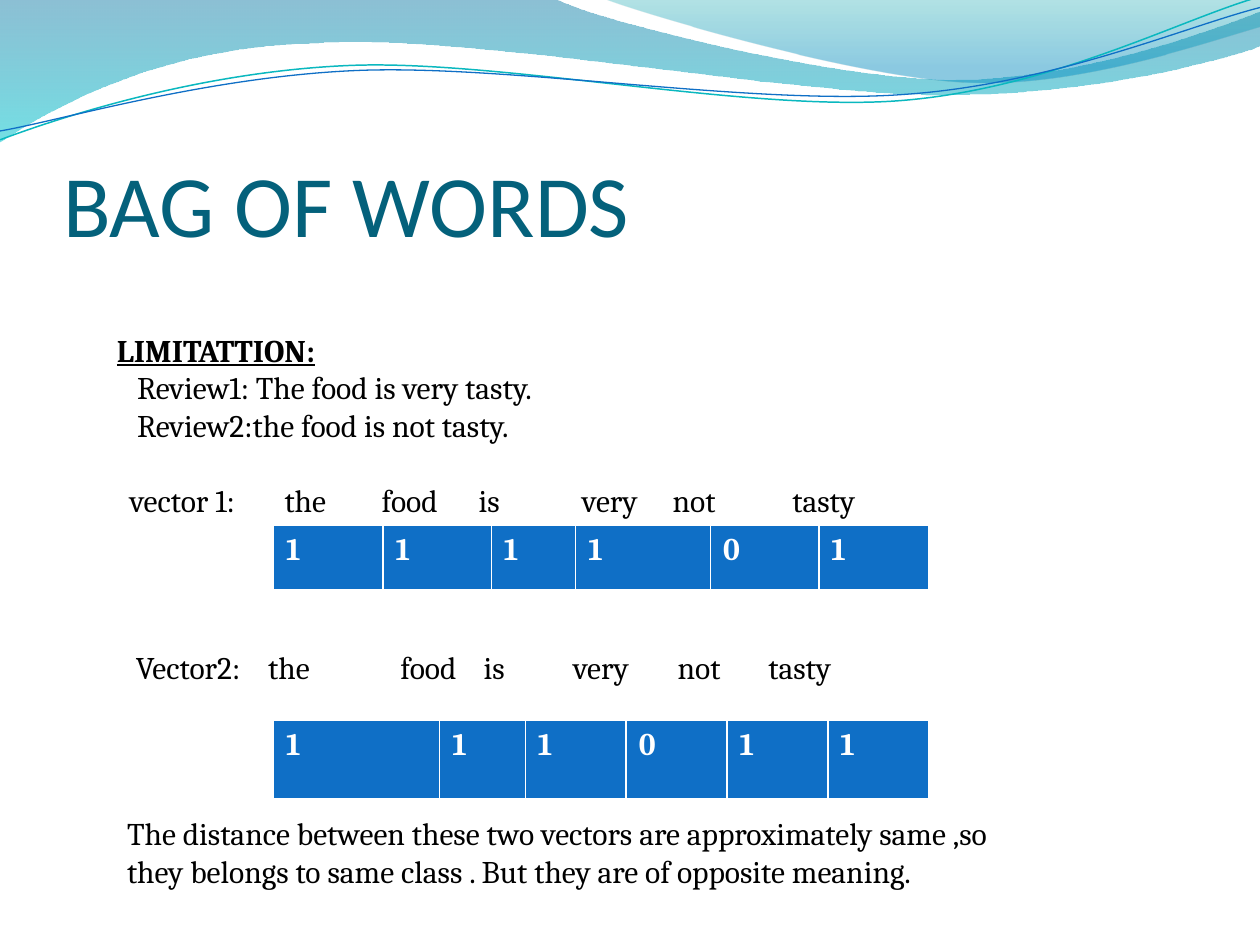
from math import cos, radians, sin

from lxml.etree import SubElement
from pptx import Presentation
from pptx.dml.color import RGBColor
from pptx.enum.text import MSO_ANCHOR as Anchor
from pptx.oxml.ns import qn
from pptx.util import Inches, Pt

BLUE, WHITE, BLACK = "0F6FC6", "FFFFFF", "000000"
TILT = 2.7

LEFT_WAVE = [(0, 0), (4.4, -0.01),
             (4.76, 0.17, 6.64, 0.63, 7.58, 0.63), (8.53, 0.63, 9.58, 0.26, 10, 0.09),
             (10.01, 0.36), (9.83, 0.44, 8.7, 0.76, 7.46, 0.75),
             (6.22, 0.75, 3.82, 0.28, 2.57, 0.34), (1.29, 0.36, 0.46, 0.83, -0.01, 1.13)]
RIGHT_WAVE = [(4.79, -0.01), (5.09, 0.11, 6.82, 0.62, 7.69, 0.65),
              (8.56, 0.69, 9.61, 0.32, 10, 0.21), (10, 0)]
TEAL_LINE = [(0, 1.11), (0.48, 0.93, 1.58, 0.57, 2.77, 0.52),
             (3.95, 0.47, 5.93, 0.89, 7.13, 0.8), (8.33, 0.71, 9.38, 0.15, 9.98, -0.02)]
BLUE_LINE = [(0, 1.04), (0.47, 0.96, 1.64, 0.61, 2.83, 0.56),
             (4.03, 0.51, 5.97, 0.84, 7.17, 0.75), (8.36, 0.67, 9.41, 0.21, 10, 0.06)]


def rgb(value):
    return RGBColor.from_string(value)


def pairs(segment):
    return list(zip(segment[::2], segment[1::2]))


def add_outline(page, segments, closed):
    corners = [tuple(Inches(value) for value in segment[-2:]) for segment in segments]
    builder = page.shapes.build_freeform(*corners[0])
    builder.add_line_segments(corners[1:], close=closed)
    shape = builder.convert_to_shape()
    shape.shadow.inherit = False
    edges = list(shape.element.spPr.iter(qn("a:lnTo")))
    for edge, segment in zip(edges, segments[1:]):
        if len(segment) == 6:
            edge.tag = qn("a:cubicBezTo")
            for point in list(edge):
                edge.remove(point)
            for x, y in pairs(segment):
                SubElement(edge, qn("a:pt"), x=str(Inches(x) - shape.left),
                           y=str(Inches(y) - shape.top))
    return shape


def add_wave(page, segments, stops):
    shape = add_outline(page, segments, True)
    shape.line.fill.background()
    shape.fill.gradient()
    shape.fill.gradient_angle = 270
    for stop, (position, color, _) in zip(shape.fill.gradient_stops, stops):
        stop.color.rgb = rgb(color)
        stop.position = position
    for element, (_, _, opacity) in zip(shape.element.spPr.iter(qn("a:srgbClr")), stops):
        SubElement(element, qn("a:alpha"), val=str(opacity * 1000))


def turn(segment, center, angle):
    turned = []
    for x, y in pairs(segment):
        dx, dy = x - center[0], y - center[1]
        turned += [center[0] + dx * cos(angle) - dy * sin(angle),
                   center[1] + dx * sin(angle) + dy * cos(angle)]
    return turned


def add_curve(page, segments, center, color, width):
    level = [turn(segment, center, radians(TILT)) for segment in segments]
    shape = add_outline(page, level, False)
    shape.rotation = -TILT
    shape.fill.background()
    shape.line.color.rgb = rgb(color)
    shape.line.width = Pt(width)


def add_span(para, text, size=18, font="Cambria", color=BLACK, bold=False, underline=False):
    span = para.add_run()
    span.text = text
    span.font.size = Pt(size)
    span.font.name = font
    span.font.color.rgb = rgb(color)
    span.font.bold = bold
    span.font.underline = underline


def add_box(page, left, top, width, height):
    box = page.shapes.add_textbox(Inches(left), Inches(top), Inches(width), Inches(height))
    box.text_frame.word_wrap = True
    return box.text_frame


def add_title(page, text):
    frame = add_box(page, 0.5, 0.77, 9.08, 1.25)
    frame.margin_left = frame.margin_right = frame.margin_bottom = 0
    frame.vertical_anchor = Anchor.BOTTOM
    add_span(frame.paragraphs[0], text, 50, "Calibri", "04617B")


def add_reviews(page, heading, reviews):
    frame = add_box(page, 0.83, 2.25, 9.08, 1.92)
    frame.vertical_anchor = Anchor.BOTTOM
    add_span(frame.paragraphs[0], heading, bold=True, underline=True)
    for review in reviews:
        para = frame.add_paragraph()
        para._p.get_or_add_pPr().set("marL", str(Inches(0.16)))
        add_span(para, review)
    return frame


def add_word_row(para, label, stops):
    tabs = SubElement(para._p.get_or_add_pPr(), qn("a:tabLst"))
    for stop in stops:
        SubElement(tabs, qn("a:tab"), pos=str(Inches(stop)), algn="l")
    add_span(para, "\t".join([label, "the", "food", "is", "very", "not", "tasty"]))


def add_border(cell, side, width):
    line = SubElement(cell._tc.get_or_add_tcPr(), qn("a:" + side), w=str(Pt(width)))
    SubElement(SubElement(line, qn("a:solidFill")), qn("a:srgbClr"), val=WHITE)


def add_vector(page, top, height, widths, values):
    table = page.shapes.add_table(1, len(values), Inches(2.17), Inches(top),
                                  Inches(sum(widths)), Inches(height)).table
    table.first_row = table.horz_banding = False
    table.rows[0].height = Inches(height)
    for column, cell, width, value in zip(table.columns, table.rows[0].cells, widths, values):
        column.width = Inches(width)
        for side, weight in (("lnL", 1), ("lnR", 1), ("lnT", 1), ("lnB", 3)):
            add_border(cell, side, weight)
        cell.fill.solid()
        cell.fill.fore_color.rgb = rgb(BLUE)
        add_span(cell.text_frame.paragraphs[0], value, color=WHITE, bold=True)


def main():
    deck = Presentation()
    deck.slide_width, deck.slide_height = Inches(10), Inches(7.5)
    page = deck.slides.add_slide(deck.slide_layouts[6])
    add_wave(page, LEFT_WAVE, [(0, "0074A1", 45), (1, "00C6CF", 55)])
    add_wave(page, RIGHT_WAVE, [(0, "00A1A9", 30), (0.8, "008BBF", 45)])
    add_curve(page, TEAL_LINE, (4.99, 0.58), "0AB8BF", 0.85)
    add_curve(page, BLUE_LINE, (5, 0.59), BLUE, 0.75)
    add_title(page, "BAG OF WORDS")
    reviews = add_reviews(page, "LIMITATTION:", ["Review1: The food is very tasty.",
                                                 "Review2:the food is not tasty."])
    first_row = reviews.add_paragraph()
    first_row.space_before = Pt(21.4)
    add_word_row(first_row, "\tvector 1:", [0.1, 1.33, 2.1, 2.87, 3.69, 4.41, 5.36])
    add_vector(page, 4.17, 0.52, [0.87, 0.86, 0.67, 1.07, 0.86, 0.87], "111101")
    add_vector(page, 5.72, 0.63, [1.32, 0.68, 0.8, 0.8, 0.8, 0.8], "111011")
    second_row = add_box(page, 0.98, 5.09, 6.54, 0.4)
    add_word_row(second_row.paragraphs[0], "Vector2:", [1.05, 2.1, 2.76, 3.47, 4.3, 5.02])
    closing = add_box(page, 0.91, 6.41, 7.32, 0.71)
    add_span(closing.paragraphs[0],
             "The distance between these two vectors are approximately same ,so they belongs "
             "to same class . But they are of opposite meaning.")
    deck.save("out.pptx")


main()
